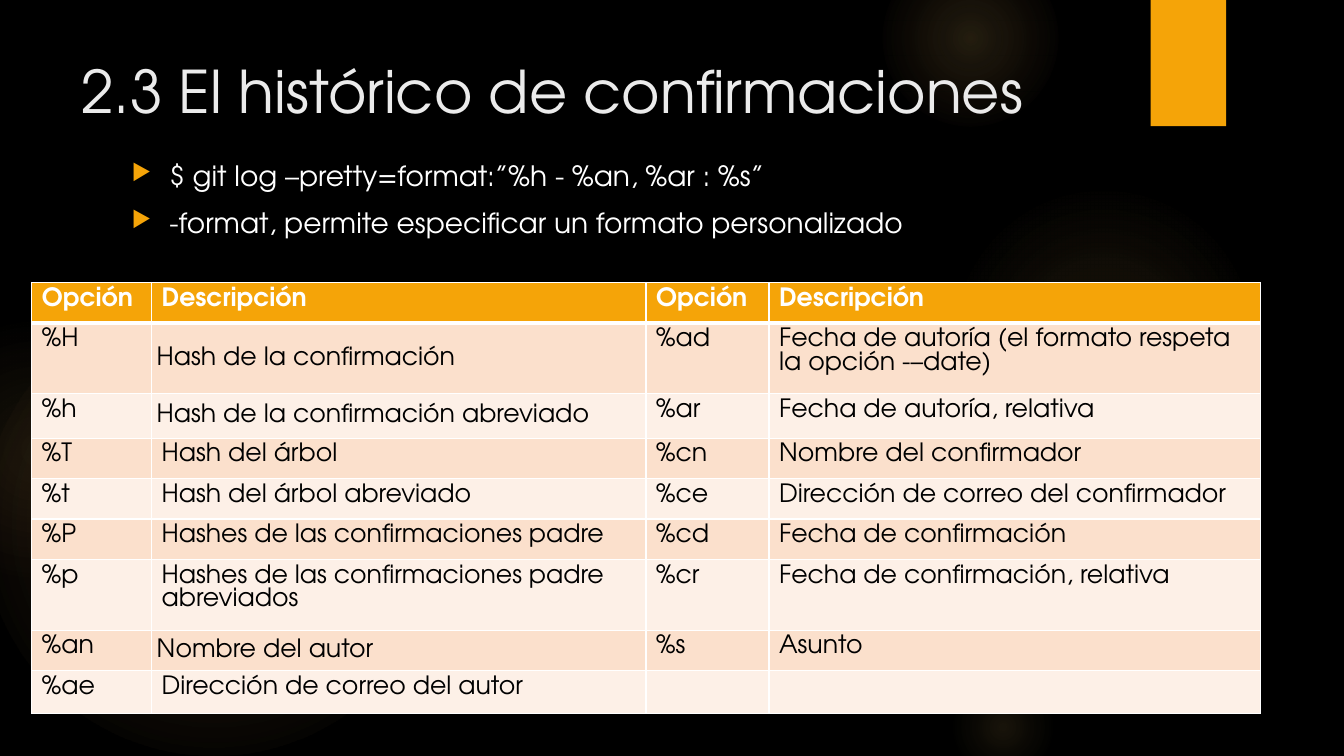
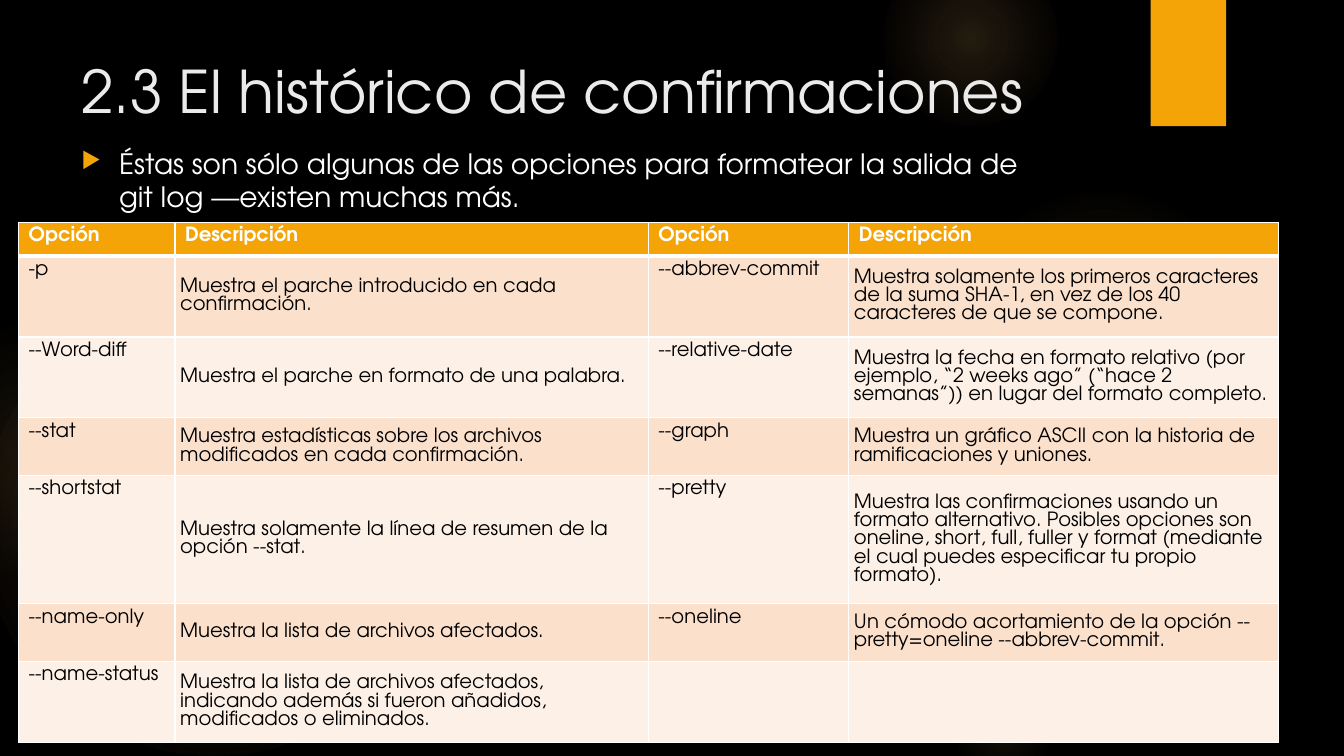
from itertools import product
from lxml import etree
from pptx import Presentation
from pptx.dml.color import RGBColor as RGB
from pptx.enum.shapes import MSO_SHAPE as SHAPE
from pptx.enum.text import MSO_ANCHOR as ANCHOR
from pptx.oxml import parse_xml
from pptx.oxml.ns import qn
from pptx.util import Cm, Pt

NS = 'xmlns:a="http://schemas.openxmlformats.org/drawingml/2006/main"'
FONT = "TeX Gyre Adventor"
HUE = {"back": "000000", "gold": "F5A408", "glow": "FAC96A", "rose": "F59B74",
       "title": "EBEBEB", "white": "FFFFFF", "ink": "000000",
       "odd": "FBE0CC", "even": "FDF0E7"}
TITLE = "2.3 El histórico de confirmaciones"

# Glows: left, top, size, then stops of (place %, colour, opacity %)
GLOWS = [
    (-0.43, 7.42, 11.63, [(0, "glow", 11), (36, "glow", 10), (75, "glow", 0)]),
    (-2.34, 8.05, 6.55, [(0, "glow", 8), (36, "glow", 5), (71, "rose", 0)]),
    (23.9, 4.65, 7.82, [(0, "glow", 7), (36, "glow", 6), (69, "glow", 0)]),
    (22.23, -1.27, 4.45, [(0, "glow", 14), (36, "glow", 7), (73, "glow", 0)]),
    (23.9, 16.94, 2.74, [(0, "glow", 10), (31, "glow", 5), (66, "glow", 0)]),
]

HEAD = ["Opción", "Descripción"] * 2

# Slide contents; "tight" holds the cells with small margins, centred in height
PAGES = [
    {"body": (3.07, 3.86, 24.84, 2.95),
     "lines": ["$ git log –pretty=format:”%h - %an, %ar : %s”",
               "-format, permite especificar un formato personalizado"],
     "at": (0.8, 7.12), "size": 18,
     "cols": [3.02, 12.46, 3.1, 12.38],
     "rows": [1.02, 1.78, 1.12, 1.02, 1.02, 1.02, 1.78, 1.02, 1.07],
     "tight": {(1, 1), (2, 1), (7, 1)},
     "cells": [
         HEAD,
         ["%H", "Hash de la confirmación", "%ad",
          "Fecha de autoría (el formato respeta la opción -–date)"],
         ["%h", "Hash de la confirmación abreviado", "%ar",
          "Fecha de autoría, relativa"],
         ["%T", "Hash del árbol", "%cn", "Nombre del confirmador"],
         ["%t", "Hash del árbol abreviado", "%ce",
          "Dirección de correo del confirmador"],
         ["%P", "Hashes de las confirmaciones padre", "%cd",
          "Fecha de confirmación"],
         ["%p", "Hashes de las confirmaciones padre abreviados", "%cr",
          "Fecha de confirmación, relativa"],
         ["%an", "Nombre del autor", "%s", "Asunto"],
         ["%ae", "Dirección de correo del autor", "", ""]]},
    {"body": (1.8, 3.56, 24.84, 3.18),
     "lines": ["Éstas son sólo algunas de las opciones para formatear la "
               "salida de git log —existen muchas más."],
     "at": (0.47, 5.6), "size": 14,
     "cols": [3.94, 11.93, 5.05, 10.82],
     "rows": [0.85, 2.04, 2.04, 1.45, 3.23, 1.45, 2.04],
     "tight": set(product(range(1, 7), (1, 3))),
     "cells": [
         HEAD,
         ["-p", "Muestra el parche introducido en cada confirmación.",
          "--abbrev-commit",
          "Muestra solamente los primeros caracteres de la suma SHA-1, "
          "en vez de los 40 caracteres de que se compone."],
         ["--Word-diff", "Muestra el parche en formato de una palabra.",
          "--relative-date",
          "Muestra la fecha en formato relativo (por ejemplo, “2 weeks ago” "
          "(“hace 2 semanas”)) en lugar del formato completo."],
         ["--stat", "Muestra estadísticas sobre los archivos modificados "
          "en cada confirmación.", "--graph",
          "Muestra un gráfico ASCII con la historia de ramificaciones "
          "y uniones."],
         ["--shortstat",
          "Muestra solamente la línea de resumen de la opción --stat.",
          "--pretty",
          "Muestra las confirmaciones usando un formato alternativo. "
          "Posibles opciones son oneline, short, full, fuller y format "
          "(mediante el cual puedes especificar tu propio formato)."],
         ["--name-only", "Muestra la lista de archivos afectados.",
          "--oneline", "Un cómodo acortamiento de la opción "
          "--pretty=oneline --abbrev-commit."],
         ["--name-status", "Muestra la lista de archivos afectados, "
          "indicando además si fueron añadidos, modificados o eliminados.",
          "", ""]]},
]


def style(para, size, hue, bold=False):
    font = para.font
    font.name, font.size, font.bold = FONT, Pt(size), bold
    font.color.rgb = RGB.from_string(HUE[hue])


def write(slide, box, lines, size, hue):
    frame = slide.shapes.add_textbox(*map(Cm, box)).text_frame
    frame.word_wrap = True
    frame.text = "\n".join(lines)
    for para in frame.paragraphs:
        style(para, size, hue)
    return frame.paragraphs


deck = Presentation()
deck.slide_width, deck.slide_height = Cm(33.87), Cm(19.05)

for page in PAGES:
    slide = deck.slides.add_slide(deck.slide_layouts[6])
    back = slide.background.fill
    back.solid()
    back.fore_color.rgb = RGB.from_string(HUE["back"])

    # Soft glows
    for left, top, size, stops in GLOWS:
        glow = slide.shapes.add_shape(
            SHAPE.OVAL, Cm(left), Cm(top), Cm(size), Cm(size))
        glow.shadow.inherit = False
        glow.line.fill.background()
        marks = "".join(
            f'<a:gs pos="{pos * 1000}"><a:srgbClr val="{HUE[hue]}">'
            f'<a:alpha val="{alpha * 1000}"/></a:srgbClr></a:gs>'
            for pos, hue, alpha in stops)
        glow.element.spPr.find(qn("a:prstGeom")).addnext(parse_xml(
            f'<a:gradFill {NS} rotWithShape="1"><a:gsLst>{marks}</a:gsLst>'
            '<a:path path="circle"><a:fillToRect l="50000" t="50000" '
            'r="50000" b="50000"/></a:path></a:gradFill>'))

    # Gold tab
    tab = slide.shapes.add_shape(
        SHAPE.RECTANGLE, Cm(29), 0, Cm(1.9), Cm(3.18))
    tab.shadow.inherit = False
    tab.line.fill.background()
    tab.fill.solid()
    tab.fill.fore_color.rgb = RGB.from_string(HUE["gold"])

    # Title and bullets
    write(slide, (1.8, 1.25, 26.14, 3.89), [TITLE], 42, "title")
    for para in write(slide, page["body"], page["lines"], 20, "white"):
        para.space_after = Pt(10)
        props = para._p.get_or_add_pPr()
        props.set("marL", str(Cm(0.95)))
        props.set("indent", str(-Cm(0.95)))
        mark = parse_xml(
            f'<a:pPr {NS}><a:buClr><a:srgbClr val="{HUE["gold"]}"/></a:buClr>'
            '<a:buSzPct val="80000"/><a:buFont typeface="OpenSymbol"/>'
            '<a:buChar char="▶"/></a:pPr>')
        for item in list(mark):
            props.find(qn("a:defRPr")).addprevious(item)

    # Table
    cols, rows = page["cols"], page["rows"]
    left, top = page["at"]
    grid = slide.shapes.add_table(
        len(rows), len(cols), Cm(left), Cm(top),
        Cm(sum(cols)), Cm(sum(rows))).table
    for col, width in zip(grid.columns, cols):
        col.width = Cm(width)
    for row, height in zip(grid.rows, rows):
        row.height = Cm(height)

    for r, c in product(range(len(rows)), range(len(cols))):
        cell = grid.cell(r, c)
        head = r == 0
        cell.text = page["cells"][r][c]
        para = cell.text_frame.paragraphs[0]
        style(para, page["size"], "white" if head else "ink", head)
        cell.fill.solid()
        fill = "gold" if head else "odd" if r % 2 else "even"
        cell.fill.fore_color.rgb = RGB.from_string(HUE[fill])
        if (r, c) in page["tight"]:
            cell.vertical_anchor = ANCHOR.MIDDLE
            cell.margin_left = cell.margin_right = Cm(0.13)
        # White borders, thick under the header
        props = cell._tc.get_or_add_tcPr()
        for i, side in enumerate("LRTB"):
            thick = (r, side) in {(0, "B"), (1, "T")}
            edge = etree.Element(qn(f"a:ln{side}"), w=str(Pt(3 if thick else 1)))
            paint = etree.SubElement(edge, qn("a:solidFill"))
            etree.SubElement(paint, qn("a:srgbClr"), val=HUE["white"])
            props.insert(i, edge)

deck.save("out.pptx")
